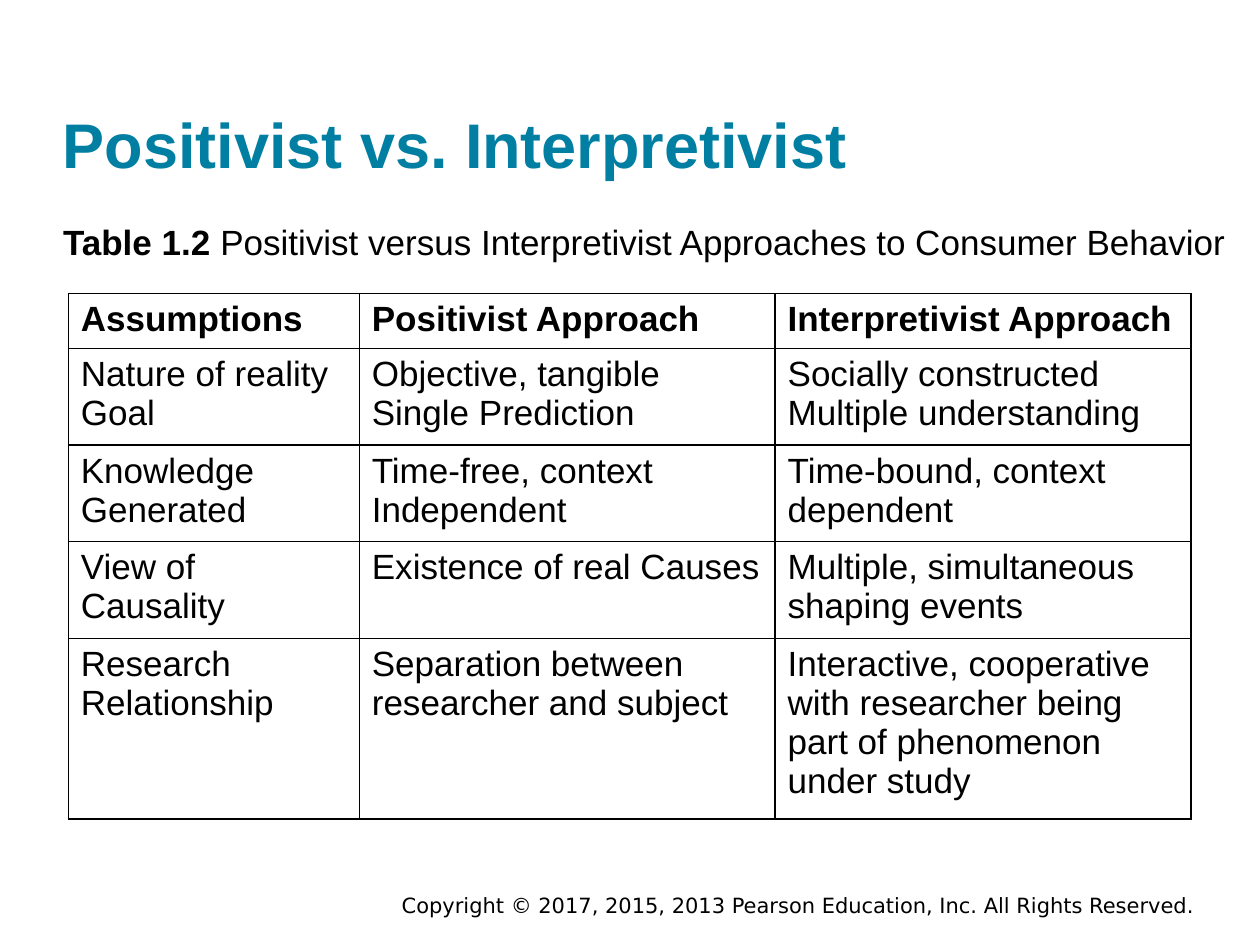
"""Build the slide that compares positivist and interpretivist approaches."""
from dataclasses import dataclass

import pptx
import pptx.dml.color
import pptx.enum.text
import pptx.oxml
import pptx.oxml.ns
import pptx.util

Pt = pptx.util.Pt
Align = pptx.enum.text.PP_ALIGN
Anchor = pptx.enum.text.MSO_ANCHOR
BLACK = pptx.dml.color.RGBColor(0x00, 0x00, 0x00)
TEAL = pptx.dml.color.RGBColor(0x00, 0x7F, 0xA3)


@dataclass(frozen=True)
class Style:
    size: float
    name: str = "Arial"
    color: pptx.dml.color.RGBColor = BLACK
    bold: bool = False


@dataclass(frozen=True)
class TextBox:
    left: float
    top: float
    width: float
    height: float
    spans: tuple[tuple[str, bool], ...]
    style: Style
    align: Align = Align.LEFT
    anchor: Anchor = Anchor.TOP
    inset: tuple[float, float] = (0, 0)


BODY = Style(20)
HEADER = Style(20, bold=True)
BOXES = (
    TextBox(126, 506.2, 563.8, 21.6,
            (("Copyright © 2017, 2015, 2013 Pearson Education, Inc. All Rights Reserved.", False),),
            Style(12, "DejaVu Sans"), Align.RIGHT, inset=(7.2, 3.6)),
    TextBox(36, 17.3, 648, 86.4, (("Positivist vs. Interpretivist", True),),
            Style(36, color=TEAL, bold=True), anchor=Anchor.BOTTOM),
    TextBox(36, 126, 666, 23.8,
            (("Table 1.2 ", True),
             ("Positivist versus Interpretivist Approaches to Consumer Behavior", False)), BODY),
)
TABLE_LEFT, TABLE_TOP = 39, 167.8
COLUMN_WIDTHS = (166.3, 237.6, 237.6)
ROW_HEIGHTS = (29.5, 52, 52, 52, 96)
ROWS = (
    ("Assumptions", "Positivist Approach", "Interpretivist Approach"),
    ("Nature of reality Goal", "Objective, tangible\nSingle Prediction",
     "Socially constructed\nMultiple understanding"),
    ("Knowledge Generated", "Time-free, context Independent",
     "Time-bound, context dependent"),
    ("View of Causality", "Existence of real Causes",
     "Multiple, simultaneous\nshaping events"),
    ("Research Relationship", "Separation between\nresearcher and subject",
     "Interactive, cooperative with researcher being part of phenomenon under study"),
)


def set_font(paragraph, style: Style) -> None:
    """Apply a style to a whole paragraph."""
    font = paragraph.font
    font.size, font.name, font.bold = Pt(style.size), style.name, style.bold
    font.color.rgb = style.color


def add_text(page, item: TextBox) -> None:
    """Add a text box with one paragraph."""
    box = page.shapes.add_textbox(Pt(item.left), Pt(item.top), Pt(item.width), Pt(item.height))
    frame = box.text_frame
    frame.word_wrap = True
    frame.vertical_anchor = item.anchor
    frame.margin_left = frame.margin_right = Pt(item.inset[0])
    frame.margin_top = frame.margin_bottom = Pt(item.inset[1])
    paragraph = frame.paragraphs[0]
    paragraph.alignment = item.align
    set_font(paragraph, item.style)
    for text, bold in item.spans:
        span = paragraph.add_run()
        span.text = text
        if bold != item.style.bold:
            span.font.bold = bold


def set_borders(cell) -> None:
    """Draw a thin black line on each side of a cell."""
    properties = cell._tc.get_or_add_tcPr()
    for position, side in enumerate(("lnL", "lnR", "lnT", "lnB")):
        properties.insert(position, pptx.oxml.parse_xml(
            f'<a:{side} {pptx.oxml.ns.nsdecls("a")} w="{Pt(1)}"><a:solidFill>'
            f'<a:srgbClr val="{BLACK}"/></a:solidFill></a:{side}>'))


def add_comparison(page) -> None:
    """Add the table of assumptions."""
    table = page.shapes.add_table(
        len(ROWS), len(COLUMN_WIDTHS), Pt(TABLE_LEFT), Pt(TABLE_TOP),
        Pt(sum(COLUMN_WIDTHS)), Pt(sum(ROW_HEIGHTS))).table
    table.first_row = table.horz_banding = False
    for column, width in zip(table.columns, COLUMN_WIDTHS):
        column.width = Pt(width)
    for index, (row, height, texts) in enumerate(zip(table.rows, ROW_HEIGHTS, ROWS)):
        row.height = Pt(height)
        for cell, text in zip(row.cells, texts):
            cell.text = text
            cell.fill.background()
            set_borders(cell)
            for paragraph in cell.text_frame.paragraphs:
                set_font(paragraph, BODY if index else HEADER)


def main() -> None:
    """Build and save the deck."""
    deck = pptx.Presentation()
    deck.slide_width, deck.slide_height = Pt(720), Pt(540)
    page = deck.slides.add_slide(deck.slide_layouts[6])
    for item in BOXES:
        add_text(page, item)
    add_comparison(page)
    deck.save("out.pptx")


if __name__ == "__main__":
    main()
